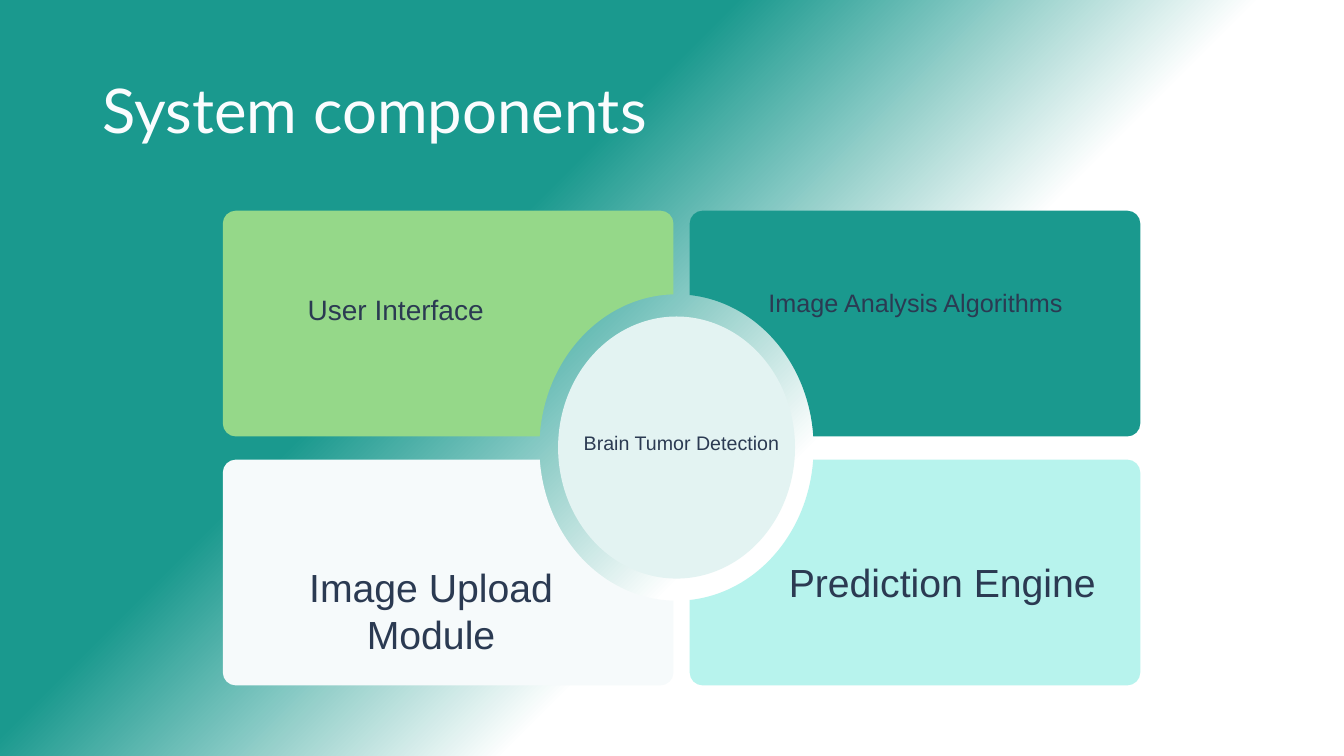
from math import acos, asin, copysign, cos, pi, sin, tan

from lxml.etree import Element, SubElement
from pptx import Presentation
from pptx.dml.color import RGBColor
from pptx.enum.shapes import MSO_SHAPE
from pptx.enum.text import MSO_ANCHOR, MSO_AUTO_SIZE, PP_ALIGN
from pptx.oxml.ns import qn
from pptx.util import Inches, Pt

TEAL, WHITE, INK = "1A998E", "FFFFFF", "2B3A52"
HUB_X, HUB_Y = 6.71, 4.44
HUB_SIZE = (2.35, 2.6)
BITE_RADII = (1.36, 1.52)
CORNER = 0.13
CARD_SIZE = (4.47, 2.24)
CARD_LEFTS, CARD_TOPS = (2.21, 6.84), (2.09, 4.56)
CARD_COLORS = (("95D889", TEAL), ("F6FAFB", "B7F3ED"))
LABELS = (
    ("User Interface", 20, (2.13, 2.85, 3.59, 0.44)),
    ("Brain Tumor Detection", 14, (5.18, 4.23, 3.16, 0.34)),
    ("Image Upload Module", 28, (2.88, 5.54, 2.79, 1.04)),
    ("Image Analysis Algorithms", 18, (7.13, 2.8, 3.9, 0.4)),
    ("Prediction Engine", 28, (7.65, 5.49, 3.39, 0.57)),
)


def color(value):
    """Turn a hex string into a colour."""
    return RGBColor.from_string(value)


def paint(shape, value):
    """Give a shape a plain fill without line or shadow."""
    shape.shadow.inherit = False
    shape.fill.solid()
    shape.fill.fore_color.rgb = color(value)
    shape.line.fill.background()


def add_background(page):
    """Fill the page with a gradient spreading from its bottom right corner."""
    fill = page.background.fill
    fill.gradient()
    for stop, position, value in zip(fill.gradient_stops, (0.4, 0.65), (WHITE, TEAL)):
        stop.position = position
        stop.color.rgb = color(value)
    gradient = page.element.find(".//" + qn("a:gradFill"))
    gradient.remove(gradient.find(qn("a:lin")))
    path = SubElement(gradient, qn("a:path"), path="circle")
    SubElement(path, qn("a:fillToRect"), l="100000", t="100000")
    SubElement(gradient, qn("a:tileRect"), r="-100000", b="-100000")


def add_text(page, box, text, size, font, value):
    """Place one wrapped line of text and return its frame."""
    frame = page.shapes.add_textbox(*map(Inches, box)).text_frame
    frame.word_wrap = True
    para = frame.paragraphs[0]
    para.text = text
    para.font.size = Pt(size)
    para.font.name = font
    para.font.color.rgb = color(value)
    return frame


def add_title(page, box):
    """Place the slide heading."""
    frame = add_text(page, box, "System components", 44, "Lato", "FAFCFE")
    frame.vertical_anchor = MSO_ANCHOR.MIDDLE
    frame.paragraphs[0].line_spacing = 0.9


def add_label(page, box, text, size):
    """Place a centred caption."""
    frame = add_text(page, box, text, size, "Arial", INK)
    frame.auto_size = MSO_AUTO_SIZE.SHAPE_TO_FIT_TEXT
    frame.paragraphs[0].alignment = PP_ALIGN.CENTER


def arc(center, radii, start, end):
    """List the start, two handles and end of an elliptic arc in slide units."""
    pull = 4 / 3 * tan((end - start) / 4)
    turns = (
        (cos(start), sin(start)),
        (cos(start) - pull * sin(start), sin(start) + pull * cos(start)),
        (cos(end) + pull * sin(end), sin(end) - pull * cos(end)),
        (cos(end), sin(end)),
    )
    return [(Inches(center[0] + radii[0] * x), Inches(center[1] + radii[1] * y))
            for x, y in turns]


def add_curved_shape(diagram, arcs, value):
    """Draw a closed outline of arcs joined by straight sides."""
    anchors = [point for curve in arcs for point in (curve[0], curve[-1])]
    builder = diagram.shapes.build_freeform(*anchors[0])
    builder.add_line_segments(anchors[1:], close=True)
    shape = builder.convert_to_shape()
    segments = list(shape.element.iter(qn("a:lnTo")))
    for segment, curve in zip(segments[::2], arcs):
        segment.tag = qn("a:cubicBezTo")
        for index, (x, y) in enumerate(curve[1:3]):
            handle = Element(qn("a:pt"), x=str(x - shape.left), y=str(y - shape.top))
            segment.insert(index, handle)
    paint(shape, value)


def add_card(diagram, box, value):
    """Draw a rounded card whose corner near the hub is cut by an ellipse."""
    left, top, width, height = box
    outer_x, inner_x = sorted((left, left + width), key=lambda x: -abs(x - HUB_X))
    outer_y, inner_y = sorted((top, top + height), key=lambda y: -abs(y - HUB_Y))
    side_x, side_y = copysign(1, outer_x - HUB_X), copysign(1, outer_y - HUB_Y)

    def rounded(x, y, start, end):
        """Return the arc of one rounded corner."""
        out_x = side_x if x == outer_x else -side_x
        out_y = side_y if y == outer_y else -side_y
        radii = (out_x * CORNER, out_y * CORNER)
        return arc((x - radii[0], y - radii[1]), radii, start, end)

    bite_x, bite_y = BITE_RADII
    bite = arc((HUB_X, HUB_Y), (side_x * bite_x, side_y * bite_y),
               acos(side_x * (inner_x - HUB_X) / bite_x),
               asin(side_y * (inner_y - HUB_Y) / bite_y))
    arcs = (
        rounded(outer_x, inner_y, pi / 2, 0),
        rounded(outer_x, outer_y, 0, pi / 2),
        rounded(inner_x, outer_y, pi / 2, 0),
        bite,
    )
    add_curved_shape(diagram, arcs, value)


def add_diagram(page):
    """Draw the four cards around the hub."""
    diagram = page.shapes.add_group_shape()
    for column, left in enumerate(CARD_LEFTS):
        for row, top in enumerate(CARD_TOPS):
            add_card(diagram, (left, top, *CARD_SIZE), CARD_COLORS[row][column])
    width, height = HUB_SIZE
    box = (HUB_X - width / 2, HUB_Y - height / 2, width, height)
    paint(diagram.shapes.add_shape(MSO_SHAPE.OVAL, *map(Inches, box)), "E3F3F2")


def main():
    """Build and save the deck."""
    deck = Presentation()
    deck.slide_width, deck.slide_height = Inches(13.33), Inches(7.5)
    page = deck.slides.add_slide(deck.slide_layouts[6])
    add_background(page)
    add_title(page, (0.92, 0.4, 11.5, 1.45))
    add_diagram(page)
    for text, size, box in LABELS:
        add_label(page, box, text, size)
    deck.save("out.pptx")


if __name__ == "__main__":
    main()
